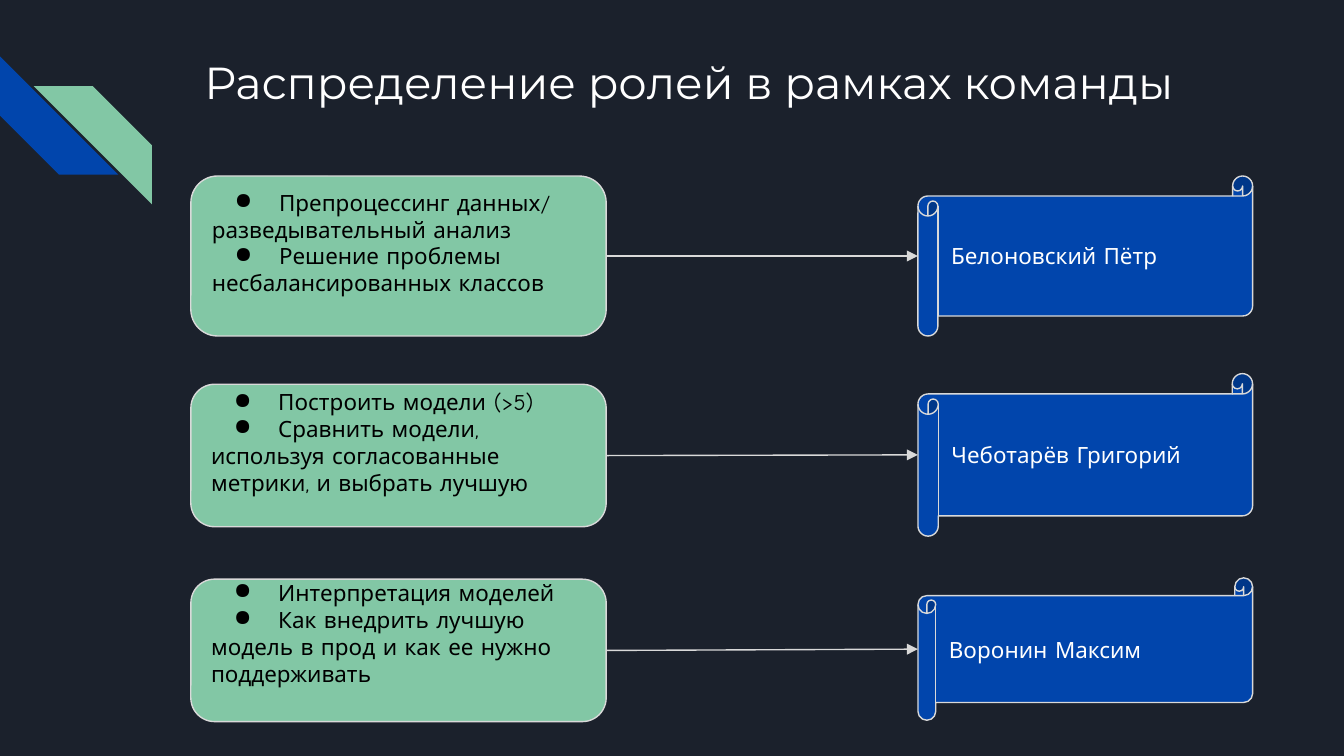
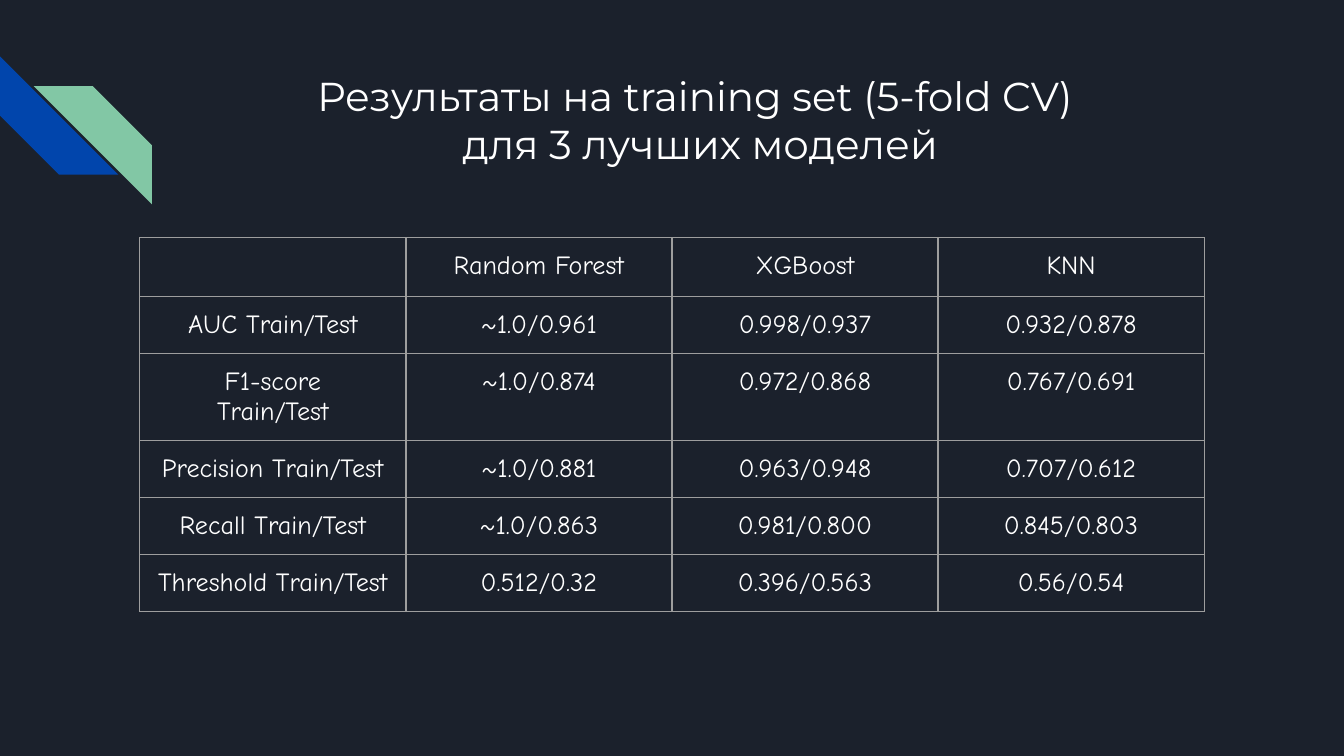
import pptx
import pptx.dml.color
import pptx.enum.dml
import pptx.enum.shapes
import pptx.enum.text
import pptx.oxml
import pptx.oxml.ns
import pptx.util
import lxml.etree

RGBColor = pptx.dml.color.RGBColor
SHAPE = pptx.enum.shapes.MSO_SHAPE
ALIGN = pptx.enum.text.PP_ALIGN
ANCHOR = pptx.enum.text.MSO_ANCHOR

NIGHT = RGBColor(0x1B, 0x21, 0x2C)
BLUE = RGBColor(0x01, 0x45, 0xAC)
GREEN = RGBColor(0x82, 0xC7, 0xA5)
PALE = RGBColor(0xD9, 0xD9, 0xD9)
GREY = RGBColor(0x9E, 0x9E, 0x9E)
WHITE = RGBColor(0xFF, 0xFF, 0xFF)
BLACK = RGBColor(0x00, 0x00, 0x00)

TITLE_FONT = "Montserrat"
BODY_FONT = "Comic Neue"
CELL = pptx.util.Inches(0.1)
SLIDE_COLUMNS, SLIDE_ROWS = 100, 56.25
INSET = 1
TASK_COLUMN, TASK_WIDTH = 14.2, 30.9
PERSON_COLUMN, PERSON_WIDTH = 68.3, 24.9
TABLE_COLUMN_WIDTH, TABLE_ROW_HEIGHT = 19.8, 4.2

ROLES = [
    {
        "tasks": [(True, "Препроцессинг данных/"), (False, "разведывательный анализ"),
                  (True, "Решение проблемы"), (False, "несбалансированных классов")],
        "task_rows": (13.1, 11.9), "bottom_inset": 2,
        "person": "Белоновский Пётр", "person_rows": (13.1, 11.9),
    },
    {
        "tasks": [(True, "Построить модели (>5)"), (True, "Сравнить модели,"),
                  (False, "используя согласованные метрики, и выбрать лучшую")],
        "task_rows": (28.6, 10.6), "bottom_inset": 2,
        "person": "Чеботарёв Григорий", "person_rows": (27.8, 12.1),
    },
    {
        "tasks": [(True, "Интерпретация моделей"), (True, "Как внедрить лучшую"),
                  (False, "модель в прод и как ее нужно поддерживать")],
        "task_rows": (43.1, 10.6), "bottom_inset": 2.6,
        "person": "Воронин Максим", "person_rows": (43, 10.6),
    },
]

RESULTS = [
    ["", "Random Forest", "XGBoost", "KNN"],
    ["AUC Train/Test", "~1.0/0.961", "0.998/0.937", "0.932/0.878"],
    ["F1-score\nTrain/Test", "~1.0/0.874", "0.972/0.868", "0.767/0.691"],
    ["Precision Train/Test", "~1.0/0.881", "0.963/0.948", "0.707/0.612"],
    ["Recall Train/Test", "~1.0/0.863", "0.981/0.800", "0.845/0.803"],
    ["Threshold Train/Test", "0.512/0.32", "0.396/0.563", "0.56/0.54"],
]


def grid(*counts):
    """Turn counts of grid cells into lengths."""
    return [round(count * CELL) for count in counts]


def add_xml(parent, tag, **attributes):
    """Append a drawing element and return it."""
    child = lxml.etree.SubElement(parent, pptx.oxml.ns.qn(tag))
    for name, value in attributes.items():
        child.set(name, str(value))
    return child


def set_insets(frame, top=INSET, bottom=INSET):
    """Give a text frame or table cell its margins."""
    frame.margin_left, frame.margin_right, frame.margin_top, frame.margin_bottom = grid(
        INSET, INSET, top, bottom)


def format_text(paragraphs, font, size, color, align):
    """Apply one text style to every run of the paragraphs."""
    for paragraph in paragraphs:
        paragraph.alignment = align
        for span in paragraph.runs:
            span.font.name = font
            span.font.size = pptx.util.Pt(size)
            span.font.color.rgb = color
            span.font.bold = False


def add_bullet(paragraph):
    """Give a paragraph a round bullet with a hanging indent."""
    properties = paragraph._p.get_or_add_pPr()
    properties.set("marL", str(pptx.util.Inches(0.5)))
    properties.set("indent", str(-pptx.util.Inches(0.33)))
    add_xml(add_xml(properties, "a:buClr"), "a:srgbClr", val=BLACK)
    add_xml(properties, "a:buChar", char="●")


def add_filled_shape(slide, kind, place, fill, outlined=True):
    """Add a flat preset shape, with or without the pale outline."""
    shape = slide.shapes.add_shape(kind, *grid(*place))
    shape.shadow.inherit = False
    shape.fill.solid()
    shape.fill.fore_color.rgb = fill
    if outlined:
        shape.line.color.rgb = PALE
        shape.line.width = pptx.util.Pt(0.75)
    else:
        shape.line.fill.background()
    return shape


def decorate_layout(layout, slide):
    """Put the background and the two corner stripes on the layout."""
    layout.background.fill.solid()
    layout.background.fill.fore_color.rgb = NIGHT
    blue_stripe = add_filled_shape(slide, SHAPE.DIAGONAL_STRIPE, (0, 4.2, 8.8, 8.8), BLUE, False)
    blue_stripe.rotation = 270
    green_stripe = add_filled_shape(slide, SHAPE.DIAGONAL_STRIPE, (2.5, 6.4, 8.8, 8.8), GREEN, False)
    green_stripe.element.spPr.find(pptx.oxml.ns.qn("a:xfrm")).set("flipH", "1")
    for stripe in (blue_stripe, green_stripe):
        layout.shapes.element.append(stripe.element)


def set_title(slide, text, place, size, align):
    """Place, fill and format the title placeholder."""
    title = slide.shapes.title
    title.left, title.top, title.width, title.height = grid(*place)
    frame = title.text_frame
    frame.text = text
    frame.auto_size = pptx.enum.text.MSO_AUTO_SIZE.NONE
    frame.vertical_anchor = ANCHOR.TOP
    set_insets(frame)
    format_text(frame.paragraphs, TITLE_FONT, size, WHITE, align)


def add_task_box(slide, role):
    """Add the rounded box that lists the tasks of a role."""
    top, height = role["task_rows"]
    box = add_filled_shape(slide, SHAPE.ROUNDED_RECTANGLE,
                           (TASK_COLUMN, top, TASK_WIDTH, height), GREEN)
    frame = box.text_frame
    frame.text = "\n".join(text for _, text in role["tasks"])
    frame.vertical_anchor = ANCHOR.MIDDLE
    set_insets(frame, 0, role["bottom_inset"])
    for paragraph, (bulleted, _) in zip(frame.paragraphs, role["tasks"]):
        if bulleted:
            add_bullet(paragraph)
    format_text(frame.paragraphs, BODY_FONT, 12, BLACK, ALIGN.LEFT)
    return box


def add_person_scroll(slide, role):
    """Add the scroll that names the person in a role."""
    top, height = role["person_rows"]
    scroll = add_filled_shape(slide, SHAPE.HORIZONTAL_SCROLL,
                              (PERSON_COLUMN, top, PERSON_WIDTH, height), BLUE)
    frame = scroll.text_frame
    frame.text = role["person"]
    frame.vertical_anchor = ANCHOR.MIDDLE
    set_insets(frame)
    format_text(frame.paragraphs, BODY_FONT, 12, WHITE, ALIGN.LEFT)
    return scroll


def add_arrow(slide, box, scroll):
    """Join a task box to a person with an arrow."""
    arrow = slide.shapes.add_connector(pptx.enum.shapes.MSO_CONNECTOR.STRAIGHT, 0, 0, 0, 0)
    arrow.begin_connect(box, 3)
    arrow.end_connect(scroll, 1)
    arrow.line.color.rgb = PALE
    arrow.line.width = pptx.util.Pt(0.75)
    add_xml(arrow.line._get_or_add_ln(), "a:tailEnd", type="triangle", w="med", len="med")
    add_xml(arrow.element.spPr, "a:effectLst")


def format_cell(cell, text):
    """Fill a table cell with centred text and thin borders."""
    cell.text = text
    set_insets(cell)
    properties = cell._tc.get_or_add_tcPr()
    for side in ("a:lnL", "a:lnR", "a:lnT", "a:lnB"):
        border = add_xml(properties, side, w=pptx.util.Pt(0.75))
        add_xml(add_xml(border, "a:solidFill"), "a:srgbClr", val=GREY)
    cell.fill.background()
    paragraphs = cell.text_frame.paragraphs
    format_text(paragraphs, BODY_FONT, 14, WHITE, ALIGN.CENTER)
    if not text:
        add_xml(paragraphs[0]._p, "a:endParaRPr", sz=1400)


def add_results_table(slide, rows, left, top):
    """Add the grid of model scores."""
    row_count, column_count = len(rows), len(rows[0])
    frame = slide.shapes.add_table(row_count, column_count, *grid(
        left, top, column_count * TABLE_COLUMN_WIDTH, row_count * TABLE_ROW_HEIGHT))
    table = frame.table
    table.first_row = table.horz_banding = False
    for column in table.columns:
        column.width = grid(TABLE_COLUMN_WIDTH)[0]
    for row, texts in zip(table.rows, rows):
        row.height = grid(TABLE_ROW_HEIGHT)[0]
        for cell, text in zip(row.cells, texts):
            format_cell(cell, text)


def main():
    """Build the two slides and save the deck."""
    deck = pptx.Presentation()
    deck.slide_width, deck.slide_height = grid(SLIDE_COLUMNS, SLIDE_ROWS)
    layout = deck.slide_layouts.get_by_name("Title Only")

    roles_slide = deck.slides.add_slide(layout)
    decorate_layout(layout, roles_slide)
    set_title(roles_slide, "Распределение ролей в рамках команды",
              (14.2, 3.1, 77, 10), 24, ALIGN.LEFT)
    for role in ROLES:
        box = add_task_box(roles_slide, role)
        scroll = add_person_scroll(roles_slide, role)
        add_arrow(roles_slide, box, scroll)

    results_slide = deck.slides.add_slide(layout)
    set_title(results_slide, "Результаты на training set (5-fold CV) \nдля 3 лучших моделей",
              (12.1, 4.3, 80, 10), 21.6, ALIGN.CENTER)
    add_results_table(results_slide, RESULTS, 10.4, 17.7)

    deck.save("out.pptx")


if __name__ == "__main__":
    main()
